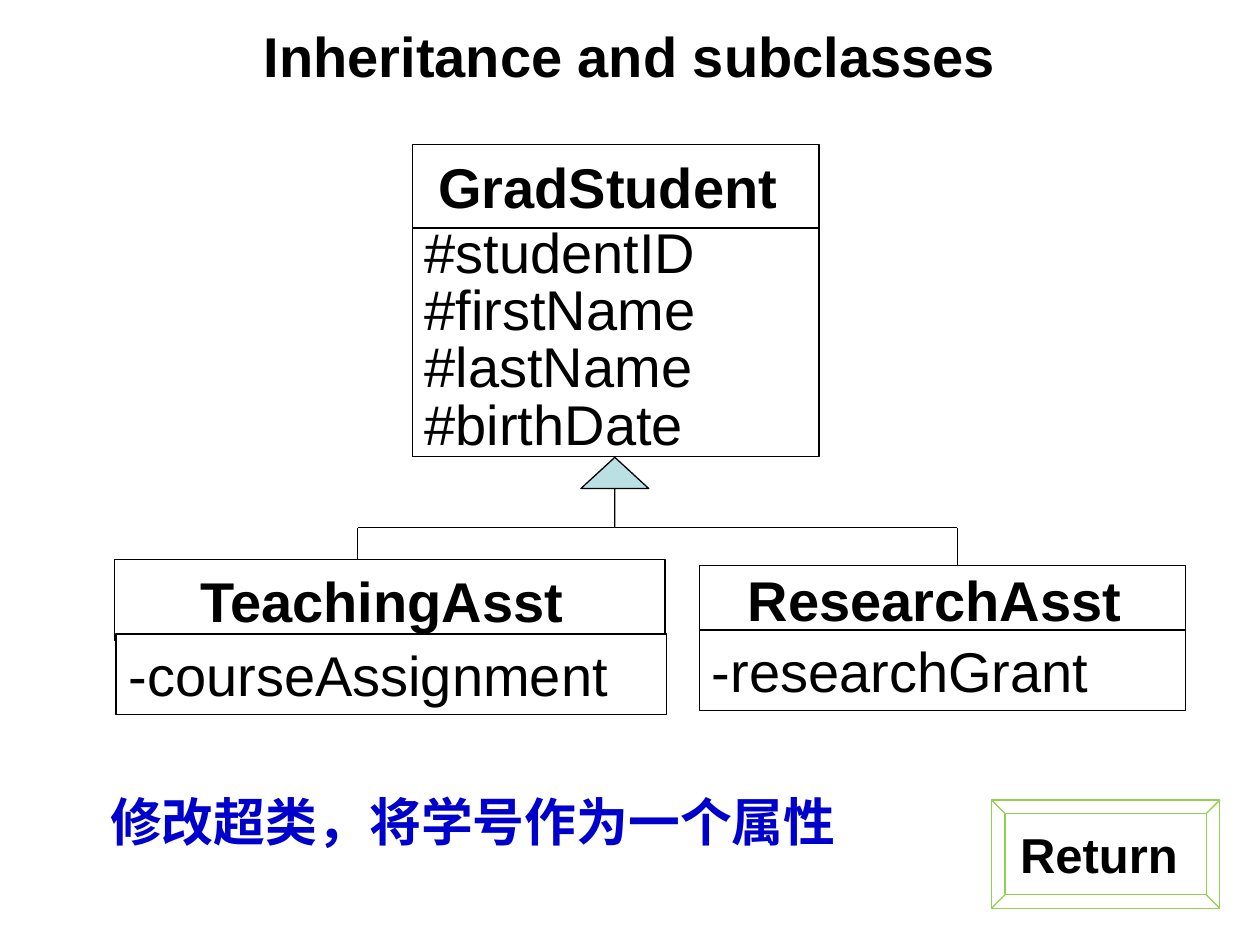
from lxml import etree
from pptx import Presentation
from pptx.dml.color import RGBColor
from pptx.enum.shapes import MSO_CONNECTOR, MSO_SHAPE
from pptx.enum.text import MSO_ANCHOR, PP_ALIGN
from pptx.oxml.ns import qn
from pptx.util import Cm, Pt

BLACK = RGBColor(0x00, 0x00, 0x00)
WHITE = RGBColor(0xFF, 0xFF, 0xFF)
BLUE = RGBColor(0x00, 0x00, 0xCC)
PALE_TEAL = RGBColor(0xBB, 0xE0, 0xE3)
GREEN = RGBColor(0x92, 0xD0, 0x50)

RECTANGLE, BEVEL, UP_ARROW = MSO_SHAPE.RECTANGLE, MSO_SHAPE.BEVEL, MSO_SHAPE.UP_ARROW
STRAIGHT = MSO_CONNECTOR.STRAIGHT
LEFT, CENTER = PP_ALIGN.LEFT, PP_ALIGN.CENTER
TOP, MIDDLE = MSO_ANCHOR.TOP, MSO_ANCHOR.MIDDLE

LATIN, CHINESE = "Arial", "Noto Sans CJK SC"
LINE_WIDTH = Pt(0.75)
HEADING = {"alignment": CENTER}
MEMBERS = {"alignment": LEFT}


def set_all(target, values):
    for name, value in values.items():
        setattr(target, name, value)


def write(shape, lines, para_format, size=32, bold=False, color=BLACK,
          font=LATIN, anchor=MIDDLE, wrap=True):
    frame = shape.text_frame
    set_all(frame, {"word_wrap": wrap, "vertical_anchor": anchor})
    for index, line in enumerate(lines):
        para = frame.add_paragraph() if index else frame.paragraphs[0]
        set_all(para, para_format)
        span = para.add_run()
        span.text = line
        set_all(span.font, {"name": font, "size": Pt(size), "bold": bold})
        span.font.color.rgb = color
        if font == CHINESE:
            east_asian = etree.SubElement(span.font._element, qn("a:ea"))
            east_asian.set("typeface", font)


def add_outlined(page, kind, box, fill=None, line=BLACK):
    shape = page.shapes.add_shape(kind, *map(Cm, box))
    shape.shadow.inherit = False
    if fill is None:
        shape.fill.background()
    else:
        shape.fill.solid()
        shape.fill.fore_color.rgb = fill
    shape.line.color.rgb = line
    shape.line.width = LINE_WIDTH
    return shape


def add_line(page, start, end):
    line = page.shapes.add_connector(STRAIGHT, *map(Cm, start + end))
    line.line.color.rgb = BLACK
    line.line.width = LINE_WIDTH
    etree.SubElement(line._element.spPr, qn("a:effectLst"))


def add_text(page, box, lines, para_format, **style):
    shape = page.shapes.add_textbox(*map(Cm, box))
    write(shape, lines, para_format, **style)
    return shape


def add_class(page, box, name, members, name_height, members_top,
              shift=0, members_format=MEMBERS):
    """Class box: name compartment above, member compartment below."""
    left, top, width, height = box
    heading = add_outlined(page, RECTANGLE, (left, top, width, name_height), WHITE)
    write(heading, [name], HEADING, bold=True)
    body = add_outlined(page, RECTANGLE, (left + shift, top + members_top,
                                          width, height - members_top), WHITE)
    write(body, members, members_format)


def add_inheritance(page, box):
    """Bar with a drop at each end and an arrow up to the superclass."""
    left, top, width, height = box
    bar = top + 1.42
    add_line(page, (left, bar), (left + width, bar))
    for x in (left, left + width):
        add_line(page, (x, bar), (x, top + height))
    arrow = add_outlined(page, UP_ARROW, (left + 4.5, top, 1.37, 1.4), PALE_TEAL)
    arrow.adjustments[0] = 0
    arrow.adjustments[1] = 0.46


def add_note(page, box, text):
    note = add_text(page, box, [text],
                    {"alignment": CENTER, "line_spacing": 0.7, "space_before": Pt(8)},
                    size=29.6, bold=True, color=BLUE, font=CHINESE, anchor=TOP)
    properties = note.text_frame.paragraphs[0]._p.get_or_add_pPr()
    properties.set("marL", str(Cm(0.97)))
    properties.set("indent", str(Cm(-0.97)))


def add_return_button(page, box):
    button = add_outlined(page, BEVEL, box, line=GREEN)
    button.adjustments[0] = 0.125
    write(button, ["Return "], HEADING, size=28, bold=True, wrap=False)


def main():
    deck = Presentation()
    set_all(deck, {"slide_width": Cm(25.4), "slide_height": Cm(19.05)})
    page = deck.slides.add_slide(deck.slide_layouts[6])

    # Title
    add_text(page, (1.27, 0.33, 22.86, 1.55), ["Inheritance and subclasses"],
             HEADING, bold=True)

    # Superclass
    add_class(page, (8.31, 2.92, 8.2, 6.28), "GradStudent ",
              ["#studentID", "#firstName", "#lastName", "#birthDate"],
              1.68, 1.68, members_format={**MEMBERS, "line_spacing": 0.85})

    # Inheritance tree and subclasses
    add_inheritance(page, (7.21, 9.22, 12.09, 2.64))
    add_class(page, (2.31, 11.28, 11.1, 3.13), "TeachingAsst ",
              ["-courseAssignment"], 1.63, 1.5, shift=0.03)
    add_class(page, (14.1, 11.4, 9.8, 2.93), "ResearchAsst ",
              ["-researchGrant"], 1.37, 1.3)

    # Note and button
    add_note(page, (0.89, 16.13, 17.3, 1.19), "修改超类，将学号作为一个属性")
    add_return_button(page, (19.99, 16.13, 4.6, 2.18))

    deck.save("out.pptx")


if __name__ == "__main__":
    main()
